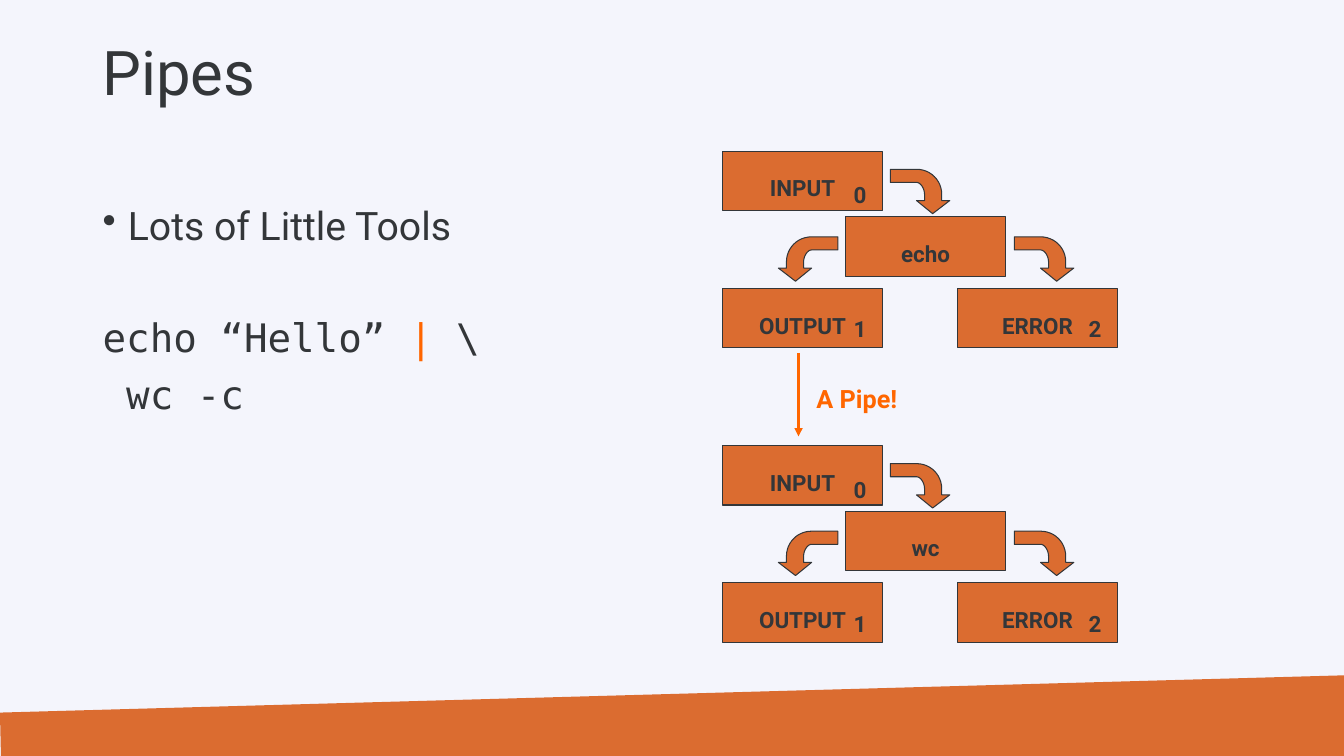
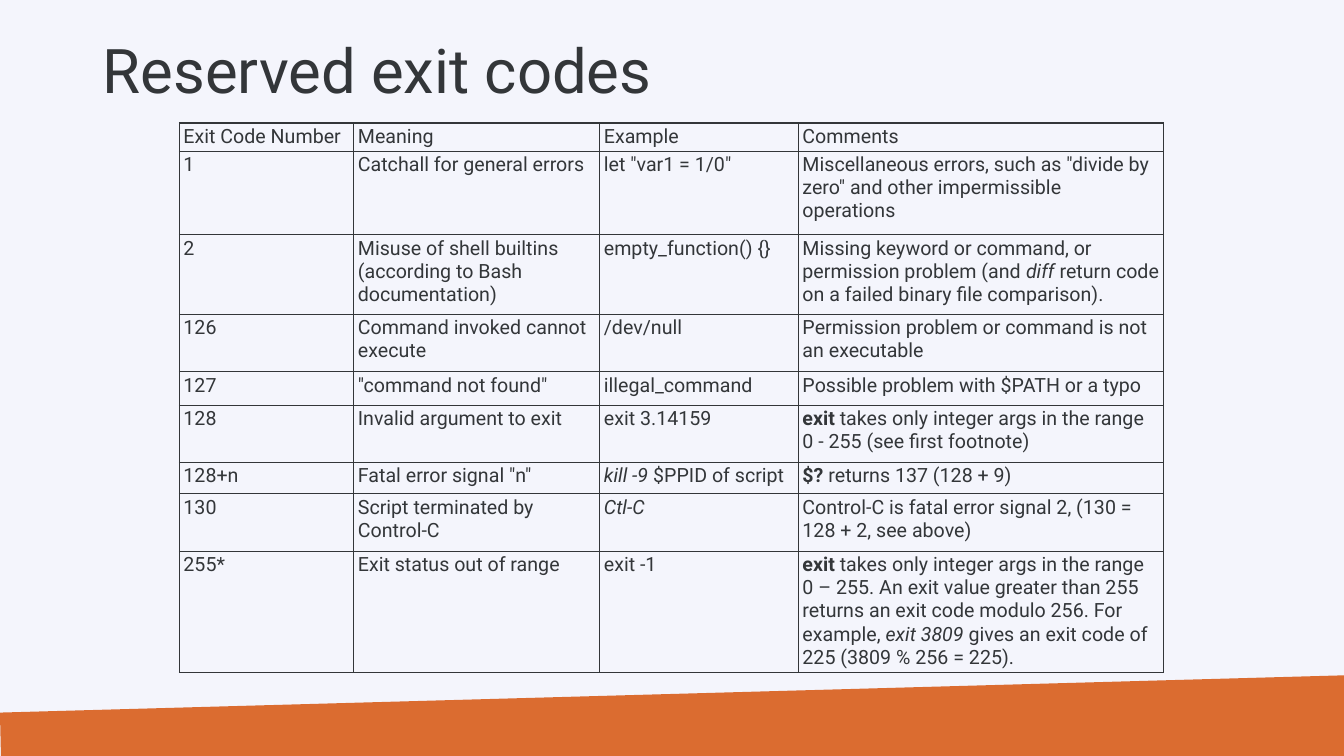
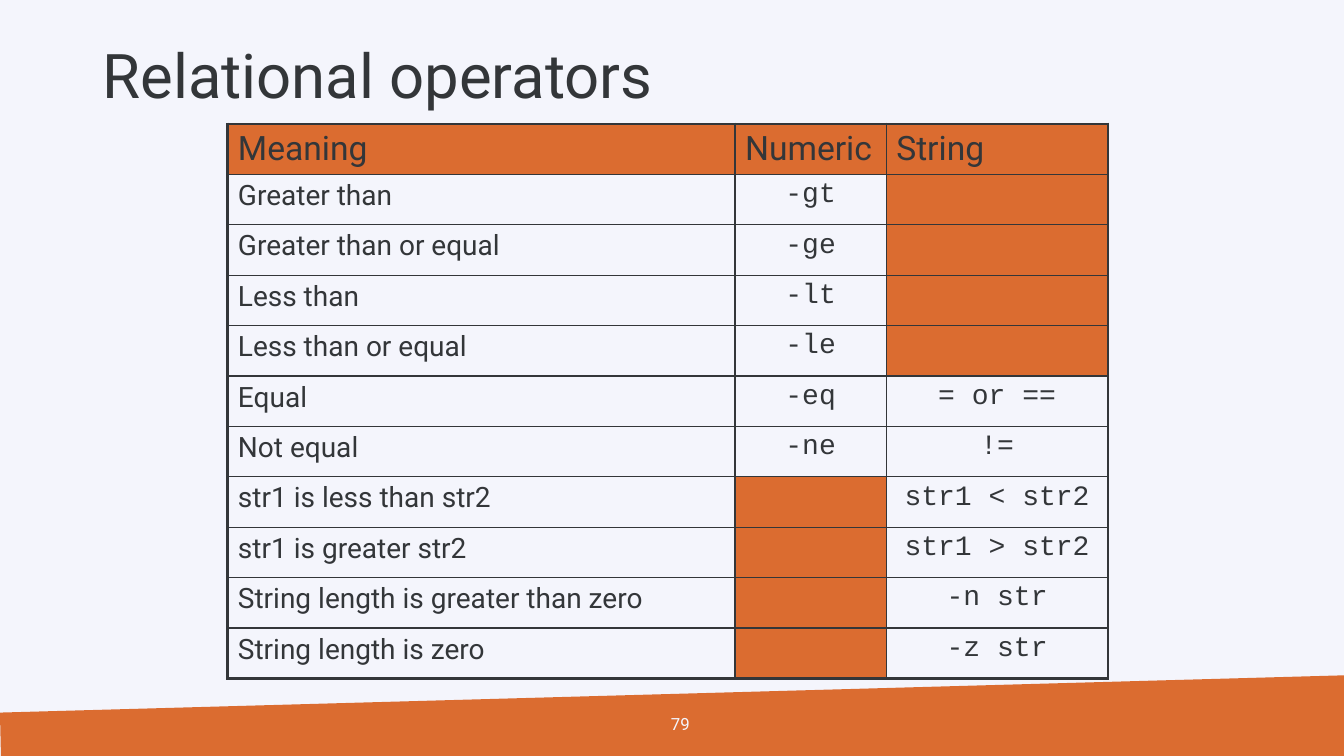
"""Build three slides on shell pipes, exit codes and relational operators."""
from dataclasses import dataclass

from lxml import etree
from pptx import Presentation
from pptx.dml.color import RGBColor
from pptx.enum import shapes as kinds, text as texts
from pptx.oxml import ns
from pptx.util import Inches, Pt


@dataclass(frozen=True)
class Theme:
    """Colours, fonts and type sizes of the deck."""

    background: str = "F4F5FC"
    ink: str = "333639"
    accent: str = "DB6C30"
    bright: str = "FF6600"
    font: str = "Roboto"
    code: str = "DejaVu Sans Mono"
    table_code: str = "Courier New"
    title: int = 44
    body: int = 28
    heading: int = 24
    operator: int = 20
    note: int = 18
    label: int = 16
    cell: int = 14
    number: int = 12


THEME = Theme()
LEFT, CENTER, RIGHT = texts.PP_ALIGN.LEFT, texts.PP_ALIGN.CENTER, texts.PP_ALIGN.RIGHT
MIDDLE = texts.MSO_ANCHOR.MIDDLE
BOLD, ITALIC = {"bold": True}, {"italic": True}
BOX = (1.58, 0.59)
PROGRAM_TOPS = {"echo": 1.5, "wc": 4.42}

EXIT_CODES = [
    ("Exit Code Number", "Meaning", "Example", "Comments"),
    ("1", "Catchall for general errors", 'let "var1 = 1/0"',
     'Miscellaneous errors, such as "divide by zero" and other impermissible operations'),
    ("2", "Misuse of shell builtins (according to Bash documentation)", "empty_function() {}",
     [("Missing keyword or command, or permission problem (and ", {}), ("diff", ITALIC),
      (" return code on a failed binary file comparison).", {})]),
    ("126", "Command invoked cannot execute", "/dev/null",
     "Permission problem or command is not an executable"),
    ("127", '"command not found"', "illegal_command", "Possible problem with $PATH or a typo"),
    ("128", "Invalid argument to exit", "exit 3.14159",
     [("exit", BOLD), (" takes only integer args in the range 0 - 255 (see first footnote)", {})]),
    ("128+n", 'Fatal error signal "n"', [("kill -9", ITALIC), (" $PPID of script", {})],
     [("$?", BOLD), (" returns 137 (128 + 9)", {})]),
    ("130", "Script terminated by Control-C", [("Ctl-C", ITALIC)],
     "Control-C is fatal error signal 2, (130 = 128 + 2, see above)"),
    ("255*", "Exit status out of range", "exit -1",
     [("exit", BOLD),
      (" takes only integer args in the range 0 – 255. An exit value greater than 255 "
       "returns an exit code modulo 256. For example, ", {}),
      ("exit 3809", ITALIC), (" gives an exit code of 225 (3809 % 256 = 225).", {})]),
]

OPERATORS = [
    ("Meaning", "Numeric", "String"),
    ("Greater than", "-gt", None),
    ("Greater than or equal", "-ge", None),
    ("Less than", "-lt", None),
    ("Less than or equal", "-le", None),
    ("Equal", "-eq", "= or =="),
    ("Not equal", "-ne", "!="),
    ("str1 is less than str2", None, "str1 < str2"),
    ("str1 is greater str2", None, "str1 > str2"),
    ("String length is greater than zero", None, "-n str"),
    ("String length is zero", None, "-z str"),
]


def rgb(color):
    """Return a colour object for a hex string."""
    return RGBColor.from_string(color)


def write(paragraph, content, size, font=THEME.font, color=THEME.ink, bold=False,
          italic=False, align=LEFT, spacing=None, before=None):
    """Fill a paragraph with a string or with (text, overrides) runs."""
    paragraph.alignment = align
    if spacing:
        paragraph.line_spacing = spacing
    if before:
        paragraph.space_before = Pt(before)
    base = {"size": size, "font": font, "color": color, "bold": bold, "italic": italic}
    for words, overrides in [(content, {})] if isinstance(content, str) else content:
        style = {**base, **overrides}
        run = paragraph.add_run()
        run.text = words
        run.font.size = Pt(style["size"])
        run.font.name = style["font"]
        run.font.bold = style["bold"]
        run.font.italic = style["italic"]
        run.font.color.rgb = rgb(style["color"])


def add_text(shapes, box, content, size, anchor=texts.MSO_ANCHOR.TOP, **style):
    """Add a wrapping text box and return its frame."""
    frame = shapes.add_textbox(*map(Inches, box)).text_frame
    frame.word_wrap = True
    frame.vertical_anchor = anchor
    write(frame.paragraphs[0], content, size, **style)
    return frame


def paint(shape, outlined=True):
    """Give a shape the accent fill and an optional thin outline."""
    shape.shadow.inherit = False
    shape.fill.solid()
    shape.fill.fore_color.rgb = rgb(THEME.accent)
    if outlined:
        shape.line.color.rgb = rgb(THEME.ink)
        shape.line.width = Pt(0.75)
    else:
        shape.line.fill.background()


def add_outline(shapes, points, outlined=True):
    """Add a closed accent-coloured outline through points in inches."""
    start, *rest = [(Inches(x), Inches(y)) for x, y in points]
    builder = shapes.build_freeform(*start)
    builder.add_line_segments(rest, close=True)
    paint(builder.convert_to_shape(), outlined)


def add_slide(presentation, title, title_top):
    """Add a blank slide with the slanted band and a title."""
    slide = presentation.slides.add_slide(presentation.slide_layouts[6])
    add_outline(slide.shapes, [(0, 7.07), (13.33, 6.7), (13.33, 7.5), (0.01, 7.5)], False)
    add_text(slide.shapes, (0.92, title_top, 11.5, 1.45), title, THEME.title,
             anchor=MIDDLE, spacing=0.9)
    return slide


def curve(start, first, second, end, steps=12):
    """Return points along a cubic curve."""
    def at(t):
        weights = ((1 - t) ** 3, 3 * t * (1 - t) ** 2, 3 * t * t * (1 - t), t ** 3)
        return tuple(sum(w * point[axis] for w, point in
                         zip(weights, (start, first, second, end))) for axis in (0, 1))
    return [at(step / steps) for step in range(steps + 1)]


def add_bent_arrow(shapes, left, top, mirrored=False):
    """Add an arrow that runs sideways and then bends down."""
    points = [(0.42, 0.44), (0.59, 0.31), (0.51, 0.31),
              *curve((0.51, 0.25), (0.51, 0.11), (0.4, 0), (0.26, 0)),
              (0, 0), (0, 0.13),
              *curve((0.26, 0.13), (0.3, 0.13), (0.34, 0.19), (0.34, 0.25)),
              (0.34, 0.31), (0.26, 0.31)]
    add_outline(shapes, [(left + (0.59 - x if mirrored else x), top + y) for x, y in points])


def add_box(shapes, left, top, label, number=None, number_drop=0.22):
    """Add a labelled box with an optional stream number."""
    box = shapes.add_shape(kinds.MSO_SHAPE.RECTANGLE, *map(Inches, (left, top, *BOX)))
    paint(box)
    frame = box.text_frame
    frame.vertical_anchor = MIDDLE
    frame.margin_top, frame.margin_bottom = Inches(0.14), 0
    write(frame.paragraphs[0], label, THEME.label, bold=True, align=CENTER)
    if number:
        add_text(shapes, (left + 1.16, top + number_drop, 0.4, 0.37), number,
                 THEME.label, bold=True, align=CENTER)


def add_program(slide, name, top, left=7.17):
    """Add a group showing a program with its three streams."""
    shapes = slide.shapes.add_group_shape().shapes
    add_box(shapes, left, top, "INPUT", "0", 0.25)
    add_box(shapes, left + 1.22, top + 0.65, name)
    add_box(shapes, left, top + 1.36, "OUTPUT", "1")
    add_box(shapes, left + 2.33, top + 1.36, "ERROR", "2")
    add_bent_arrow(shapes, left + 1.66, top + 0.18)
    add_bent_arrow(shapes, left + 2.89, top + 0.85)
    add_bent_arrow(shapes, left + 0.55, top + 0.85, mirrored=True)


def add_arrow(shapes, start, end):
    """Add a straight bright arrow."""
    arrow = shapes.add_connector(kinds.MSO_CONNECTOR.STRAIGHT, *map(Inches, (*start, *end)))
    arrow.line.color.rgb = rgb(THEME.bright)
    arrow.line.width = Pt(2)
    etree.SubElement(arrow.line._get_or_add_ln(), ns.qn("a:tailEnd"), type="triangle")
    etree.SubElement(arrow._element.spPr, ns.qn("a:effectLst"))


def set_hanging(paragraph, bullet=None):
    """Give a paragraph a hanging indent and an optional bullet."""
    properties = paragraph._p.get_or_add_pPr()
    properties.set("marL", str(Inches(0.25)))
    properties.set("indent", str(Inches(-0.25)))
    if bullet:
        etree.SubElement(properties, ns.qn("a:buChar"), char=bullet)


def set_borders(cell, **widths):
    """Draw the cell borders, with widths in points by side L, R, T, B."""
    properties = cell._tc.get_or_add_tcPr()
    for side in "LRTB":
        line = etree.SubElement(properties, ns.qn(f"a:ln{side}"), w=str(Pt(widths[side])))
        fill = etree.SubElement(line, ns.qn("a:solidFill"))
        etree.SubElement(fill, ns.qn("a:srgbClr"), val=THEME.ink)


def add_table(slide, left, top, columns, heights, rows, style, outer=1, margins=None):
    """Add a ruled table; style(row, column) gives the text format, None is a filled cell."""
    frame = slide.shapes.add_table(len(rows), len(columns), Inches(left), Inches(top),
                                   Inches(sum(columns)), Inches(sum(heights)))
    table = frame.table
    table.first_row = table.horz_banding = False
    for column, width in zip(table.columns, columns):
        column.width = Inches(width)
    for row, height in zip(table.rows, heights):
        row.height = Inches(height)
    for r, values in enumerate(rows):
        for c, content in enumerate(values):
            cell = table.cell(r, c)
            set_borders(cell, L=1 if c else outer, T=1 if r else outer,
                        R=outer if c == len(columns) - 1 else 1,
                        B=outer if r == len(rows) - 1 else 1)
            if margins:
                cell.margin_left = cell.margin_right = Inches(margins[0])
                cell.margin_top = cell.margin_bottom = Inches(margins[1])
            text_format = dict(style(r, c))
            if text_format.pop("filled", False) or content is None:
                cell.fill.solid()
                cell.fill.fore_color.rgb = rgb(THEME.accent)
            else:
                cell.fill.background()
            if content is not None:
                write(cell.text_frame.paragraphs[0], content, **text_format)


def exit_code_style(row, column):
    """Return the text format of an exit code cell."""
    return {"size": THEME.cell}


def operator_style(row, column):
    """Return the text format of an operator cell."""
    if row == 0:
        return {"size": THEME.heading, "filled": True}
    if column == 0:
        return {"size": THEME.operator}
    return {"size": THEME.operator, "font": THEME.table_code, "align": CENTER}


def build_pipes(presentation):
    """Build the slide on pipes."""
    slide = add_slide(presentation, "Pipes", 0.02)
    frame = add_text(slide.shapes, (0.92, 2, 6, 4.5), "Lots of Little Tools", THEME.body,
                     spacing=0.9, before=10)
    set_hanging(frame.paragraphs[0], "•")
    command = [("echo “Hello” ", {}), ("|", {"color": THEME.bright}), (" \\", {})]
    for content, before in ((command, 50), (" wc -c", 10)):
        paragraph = frame.add_paragraph()
        write(paragraph, content, THEME.body, font=THEME.code, spacing=0.9, before=before)
        set_hanging(paragraph)
    for name, top in PROGRAM_TOPS.items():
        add_program(slide, name, top)
    pipe = slide.shapes.add_group_shape().shapes
    add_arrow(pipe, (7.92, 3.5), (7.92, 4.33))
    add_text(pipe, (8, 3.75, 2.83, 0.4), "A Pipe!", THEME.note, color=THEME.bright, bold=True)


def build_exit_codes(presentation):
    """Build the slide on reserved exit codes."""
    slide = add_slide(presentation, "Reserved exit codes", 0)
    add_table(slide, 1.78, 1.22, (1.73, 2.44, 1.97, 3.62),
              (0.28, 0.83, 0.79, 0.57, 0.33, 0.57, 0.31, 0.57, 1.19),
              EXIT_CODES, exit_code_style, margins=(0.04, 0.02))


def build_operators(presentation):
    """Build the slide on relational operators."""
    slide = add_slide(presentation, "Relational operators", 0.05)
    add_text(slide.shapes, (6.39, 6.98, 0.55, 0.4), "79", THEME.number, anchor=MIDDLE,
             color=THEME.background, align=RIGHT)
    add_table(slide, 2.26, 1.23, (5.03, 1.5, 2.2), [0.5] * len(OPERATORS),
              OPERATORS, operator_style, outer=2.25)


def main():
    """Build and save the presentation."""
    presentation = Presentation()
    presentation.slide_width, presentation.slide_height = Inches(13.33), Inches(7.5)
    background = presentation.slide_master.background.fill
    background.solid()
    background.fore_color.rgb = rgb(THEME.background)
    build_pipes(presentation)
    build_exit_codes(presentation)
    build_operators(presentation)
    presentation.save("out.pptx")


if __name__ == "__main__":
    main()
